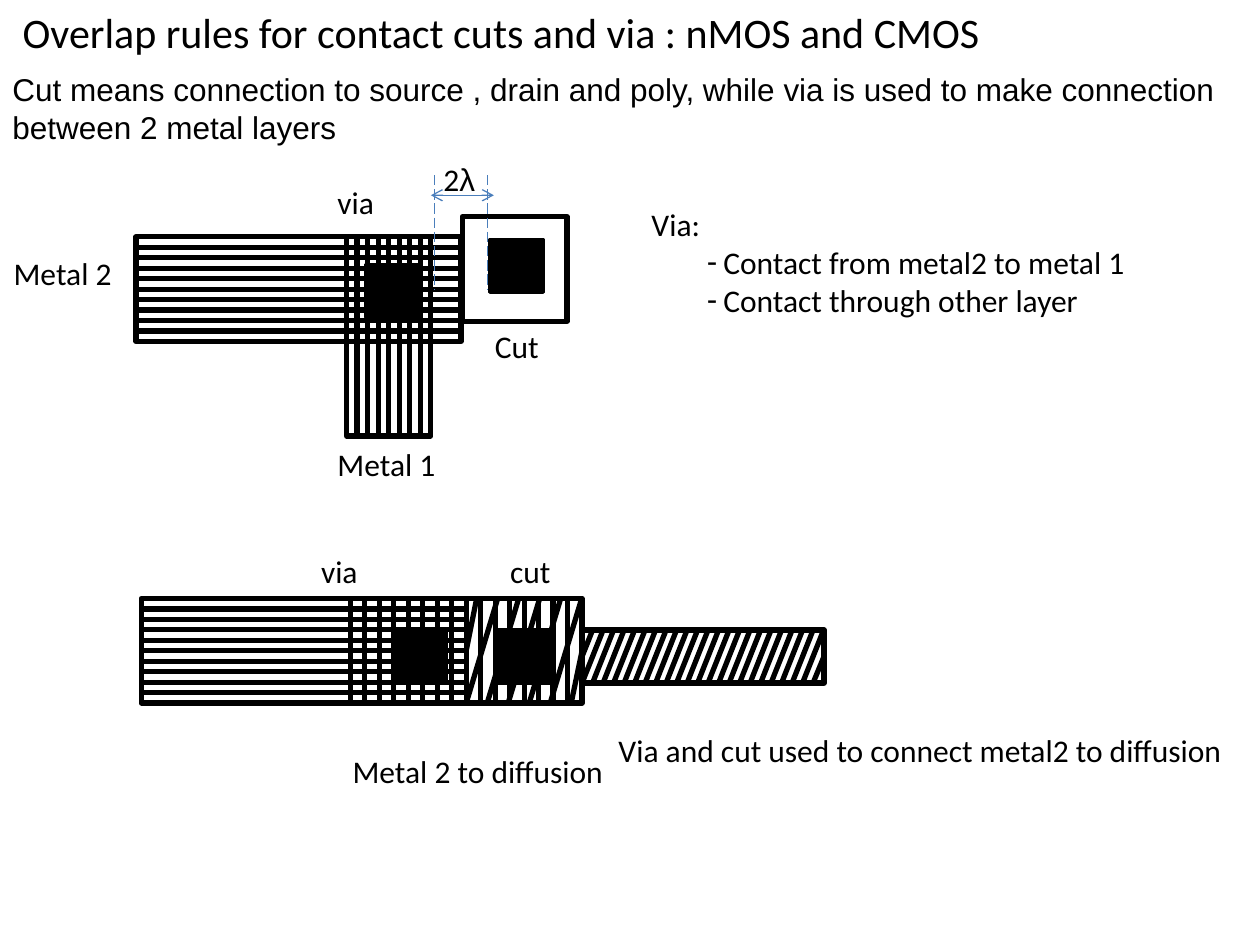
import pptx
import pptx.util
import pptx.dml.color
import pptx.enum.dml
import pptx.enum.shapes
import pptx.enum.text
import pptx.oxml
import pptx.oxml.ns
from pptx.util import Inches

COLORS = {"ink": "000000", "guide": "4A7EBB"}
SQUARE = 0.42  # side of every via and cut


def rgb(name):
    return pptx.dml.color.RGBColor.from_string(COLORS[name])


def child(parent, tag, **attributes):
    element = pptx.oxml.ns.qn(tag)
    node = parent.makeelement(element, attributes)
    parent.append(node)
    return node


# Text
def format_frame(frame, **extra):
    values = {
        "word_wrap": True,
        "auto_size": pptx.enum.text.MSO_AUTO_SIZE.NONE,
        "vertical_anchor": pptx.enum.text.MSO_ANCHOR.TOP,
        "margin_left": Inches(0.1), "margin_right": Inches(0.1),
        "margin_top": Inches(0.05), "margin_bottom": Inches(0.05),
    }
    for name, value in {**values, **extra}.items():
        setattr(frame, name, value)


def format_paragraph(paragraph, size=18):
    values = {"alignment": pptx.enum.text.PP_ALIGN.LEFT,
              "space_before": pptx.util.Pt(0), "line_spacing": 1.0}
    for name, value in values.items():
        setattr(paragraph, name, value)
    for run in paragraph.runs:
        run.font.size = pptx.util.Pt(size)
        run.font.name = run.font.name or "Calibri"
        run.font.color.rgb = rgb("ink")


def label(shapes, box, *runs):
    """Each run is a text or a (text, font) pair."""
    frame = shapes.add_textbox(*map(Inches, box)).text_frame
    format_frame(frame)
    for part in runs:
        text, font = (part, "Calibri") if isinstance(part, str) else part
        run = frame.paragraphs[0].add_run()
        run.text, run.font.name = text, font
    format_paragraph(frame.paragraphs[0])


def move(placeholder, box):
    sides = ("left", "top", "width", "height")
    for side, value in zip(sides, box):
        setattr(placeholder, side, Inches(value))


# Layout drawing
def stroke(shapes, start, end, color="ink", width=3):
    line = shapes.add_connector(pptx.enum.shapes.MSO_CONNECTOR.STRAIGHT,
                                *map(Inches, (*start, *end)))
    line.line.color.rgb = rgb(color)
    line.line.width = pptx.util.Pt(width)
    child(line._element.spPr, "a:effectLst")
    return line


def rectangle(shapes, box, filled=False):
    shape = shapes.add_shape(pptx.enum.shapes.MSO_SHAPE.RECTANGLE,
                             *map(Inches, box))
    shape.shadow.inherit = False
    if filled:
        shape.fill.solid()
        shape.fill.fore_color.rgb = rgb("ink")
    else:
        shape.fill.background()
    shape.line.color.rgb = rgb("ink")
    shape.line.width = pptx.util.Pt(2 if filled else 3)


def contact_square(shapes, left, top):
    rectangle(shapes, (left, top, SQUARE, SQUARE), filled=True)


def metal(shapes, box, strips, vertical=False):
    """Outline divided into equal strips."""
    rectangle(shapes, box)
    left, top, width, height = box
    for i in range(1, strips):
        if vertical:
            x = left + width * i / strips
            stroke(shapes, (x, top), (x, top + height))
        else:
            y = top + height * i / strips
            stroke(shapes, (left, y), (left + width, y))


def slanted_lines(shapes, box, count, step, run):
    """Slanted hatching; lines that cross a side stop at its middle."""
    left, top, width, height = box
    right, bottom, middle = left + width, top + height, top + height / 2
    for i in range(count):
        x = left + 1 / 12 + i * step
        start, end = (x, top), (x - run, bottom)
        if x > right + 0.01:
            start = (right, middle)
        if x - run < left - 0.01:
            end = (left, middle)
        stroke(shapes, start, end)


# Regions
def heading(slide, box):
    title = slide.shapes.title
    move(title, box)
    title.text_frame.text = "Overlap rules for contact cuts and via : nMOS and CMOS"
    format_frame(title.text_frame)
    format_paragraph(title.text_frame.paragraphs[0], size=24)


def via_list(slide, box):
    body = slide.placeholders[1]
    move(body, box)
    body.text_frame.text = ("Via:\nContact from metal2 to metal 1\n"
                            "Contact through other layer")
    format_frame(body.text_frame)
    for i, paragraph in enumerate(body.text_frame.paragraphs):
        properties = paragraph._p.get_or_add_pPr()
        properties.set("marL", str(Inches(0.57 if i else 0)))
        properties.set("indent", str(Inches(-0.13 if i else 0)))
        if i:
            child(properties, "a:buChar", char="-")
        else:
            child(properties, "a:buNone")
        format_paragraph(paragraph)


def spacing_mark(shapes, left, top):
    """Distance of two lambda between via metal and cut."""
    for x in (left + 0.03, left + 0.45):
        guide = stroke(shapes, (x, top), (x, top + 0.91), "guide", 0.75)
        guide.line.dash_style = pptx.enum.dml.MSO_LINE.LONG_DASH
    label(shapes, (left, top - 0.17, 0.5, 0.4), "2", ("λ", "Arial"))
    y = top + 0.16
    arrow = stroke(shapes, (left, y), (left + 0.5, y), "guide", 0.75)
    for end in ("a:headEnd", "a:tailEnd"):
        child(arrow.line._get_or_add_ln(), end, type="arrow")


def metal_crossing(slide, left, top):
    """Metal 2 over metal 1, with a via and a separate cut."""
    shapes = slide.shapes
    metal(shapes.add_group_shape().shapes, (left, top, 2.58, 0.83), 10)
    contact_square(shapes, left + 1.82, top + 0.22)
    metal(shapes.add_group_shape().shapes,
          (left + 1.67, top, 0.67, 1.58), 8, vertical=True)
    contact_square(shapes, left + 2.81, top + 0.02)
    rectangle(shapes, (left + 2.59, top - 0.16, 0.83, 0.83))
    spacing_mark(shapes, left + 2.34, top - 0.49)
    for text, x, y, width in (("Metal 2", -1.07, 0.09, 1.57),
                              ("Metal 1", 1.5, 1.6, 1.75),
                              ("Cut", 2.75, 0.67, 0.67),
                              ("via", 1.5, -0.48, 0.92)):
        label(shapes, (left + x, top + y, width, 0.4), text)


def metal_to_diffusion(slide, left, top):
    """Metal 2 joined to diffusion through a via and a cut."""
    shapes = slide.shapes.add_group_shape().shapes
    height, overlap = 0.83, 0.92
    via_left, cut_left = left + 1.66, left + 2.58
    cut_box = (cut_left, top, overlap, height)
    diffusion_box = (cut_left + overlap, top + 0.25, 1.92, SQUARE)

    metal(shapes, (left, top, 2.58, height), 10)
    contact_square(shapes, left + 2, top + 0.25)
    metal(shapes, (via_left, top, overlap, height), 8, vertical=True)
    metal(shapes, cut_box, 8, vertical=True)
    slanted_lines(shapes, cut_box, count=7, step=1 / 6, run=1 / 4)
    rectangle(shapes, diffusion_box)
    slanted_lines(shapes, diffusion_box, count=24, step=1 / 12, run=1 / 6)
    contact_square(shapes, cut_left + 0.25, top + 0.25)
    for text, x, y, width in (("via", 1.33, -0.42, 0.92),
                              ("cut", 2.83, -0.42, 0.92),
                              ("Metal 2 to diffusion", 1.58, 1.17, 2.33),
                              ("Via and cut used to connect metal2 to diffusion",
                               3.69, 1, 5.09)):
        label(shapes, (left + x, top + y, width, 0.4), text)


def main():
    deck = pptx.Presentation()
    deck.slide_width, deck.slide_height = Inches(10), Inches(7.5)
    slide = deck.slides.add_slide(deck.slide_layouts[1])
    heading(slide, (0.08, 0, 9.9, 0.8))
    label(slide.shapes, (0, 0.51, 10, 0.66),
          ("Cut means connection to source , drain and poly, while via is used "
           "to make connection between 2 metal layers", "Arial"))
    metal_crossing(slide, 1.08, 1.88)
    via_list(slide, (5.07, 1.58, 4.53, 1))
    metal_to_diffusion(slide, 1.12, 4.75)
    deck.save("out.pptx")


if __name__ == "__main__":
    main()
